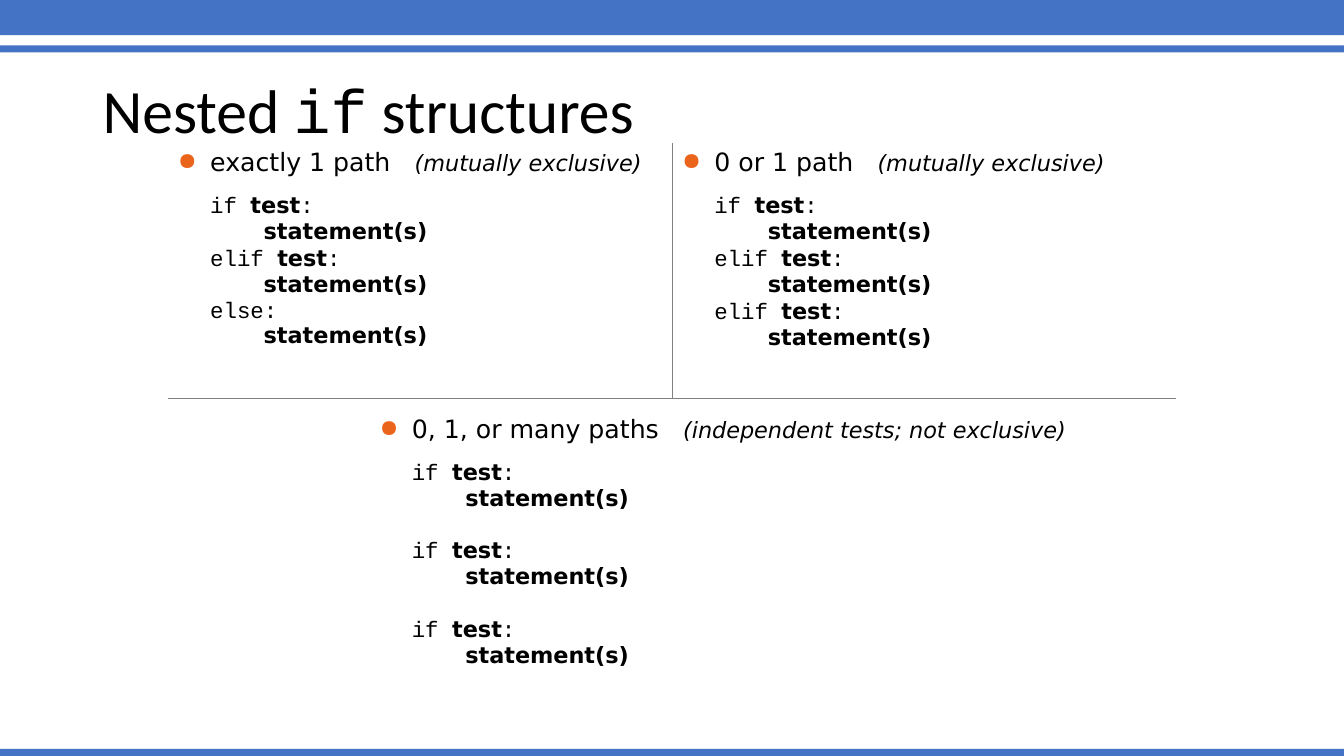
from lxml import etree
from pptx import Presentation
from pptx import util as u
from pptx.dml.color import RGBColor
from pptx.enum import shapes, text
from pptx.oxml.ns import qn

W, H = 13.33, 7.5
BLUE, ORANGE, GREY, BLACK = "4472C4", "EB641B", "808080", "000000"
SANS, MONO, TITLE_FONT = "DejaVu Sans", "Courier New", "Calibri"
NO_STYLE = "{2D5ABB26-0587-4C30-8999-92F81FD0307C}"
BARS = [(-0.03, 0.38), (0.45, 0.07), (7.43, 0.07)]
TITLE = [("Nested ", TITLE_FONT), ("if", MONO), (" structures", TITLE_FONT)]
COLS, ROWS = (5, 5), (2.53, 3.06)
HANG, CODE_TAB, WIDE_LEFT = 0.32, 0.53, 2.32
PANELS = [
    dict(cell=(0, 0), name="exactly 1 path", note="(mutually exclusive)",
         code=["if", "elif", "else"], left=HANG, top=0.05, gap=3.75, sides="RB"),
    dict(cell=(0, 1), name="0 or 1 path", note="(mutually exclusive)",
         code=["if", "elif", "elif"], left=HANG, top=0.05, gap=3.75, sides="LB"),
    dict(cell=(1, 0), name="0, 1, or many paths", note="(independent tests; not exclusive)",
         code=["if", "if", "if"], left=WIDE_LEFT, top=0.17, gap=21.85, sides="T"),
]


def rgb(color):
    """Turn a hex string into a colour."""
    return RGBColor.from_string(color)


def add_run(p, words, size=16, font=SANS, bold=False, italic=False, spacing=0):
    """Append formatted text to a paragraph."""
    r = p.add_run()
    r.text = words
    f = r.font
    f.size, f.name, f.bold, f.italic = u.Pt(size), font, bold, italic
    f.color.rgb = rgb(BLACK)
    if spacing:
        r._r.get_or_add_rPr().set("spc", str(spacing))


def set_indent(p, left, hang=0.0):
    """Set the left margin and hanging indent, and return the properties."""
    props = p._p.get_or_add_pPr()
    props.set("marL", str(u.Inches(left)))
    props.set("indent", str(-u.Inches(hang)))
    return props


def add_bullet(props):
    """Give a paragraph a round orange bullet."""
    color = etree.SubElement(props, qn("a:buClr"))
    etree.SubElement(color, qn("a:srgbClr"), val=ORANGE)
    etree.SubElement(props, qn("a:buSzPct"), val="95000")
    etree.SubElement(props, qn("a:buChar"), char="●")


def add_code_line(tf, left, before):
    """Start a tightly spaced code paragraph."""
    p = tf.add_paragraph()
    p.line_spacing, p.space_before = 0.8, u.Pt(before)
    set_indent(p, left)
    return p


def add_borders(cell, sides):
    """Draw thin grey lines on the named sides and none on the others."""
    props = cell._tc.get_or_add_tcPr()
    for side in "LRTB":
        ln = etree.SubElement(props, qn("a:ln" + side), w=str(u.Pt(0.5)))
        if side in sides:
            fill = etree.SubElement(ln, qn("a:solidFill"))
            etree.SubElement(fill, qn("a:srgbClr"), val=GREY)
        else:
            etree.SubElement(ln, qn("a:noFill"))
    cell.fill.background()


def fill_panel(cell, name, note, code, left, top, gap, sides):
    """Write one heading and its code outline into a cell."""
    cell.margin_top = u.Inches(top)
    tf = cell.text_frame
    p = tf.paragraphs[0]
    add_bullet(set_indent(p, left, HANG))
    add_run(p, name, size=18)
    add_run(p, " ", size=18, spacing=1140)
    add_run(p, note, italic=True)
    for i, keyword in enumerate(code):
        p = add_code_line(tf, left, gap if i else 13)
        if keyword == "else":
            add_run(p, "else:", font=MONO)
        else:
            add_run(p, keyword + " ", font=MONO)
            add_run(p, "test", bold=True)
            add_run(p, ":", font=MONO)
        p = add_code_line(tf, left + CODE_TAB, 3.75)
        add_run(p, "statement(s)", bold=True)
    add_borders(cell, sides)


def main():
    """Build the slide and save it."""
    prs = Presentation()
    prs.slide_width, prs.slide_height = u.Inches(W), u.Inches(H)
    s = prs.slides.add_slide(prs.slide_layouts[6])
    for top, height in BARS:
        sp = s.shapes.add_shape(shapes.MSO_SHAPE.RECTANGLE, 0, u.Inches(top),
                                u.Inches(W), u.Inches(height))
        sp.shadow.inherit = False
        sp.fill.solid()
        sp.fill.fore_color.rgb = rgb(BLUE)
        sp.line.fill.background()

    tf = s.shapes.add_textbox(*map(u.Inches, (0.92, 0.4, 11.5, 1.45))).text_frame
    tf.word_wrap, tf.vertical_anchor = True, text.MSO_ANCHOR.MIDDLE
    p = tf.paragraphs[0]
    p.line_spacing = 0.9
    for words, font in TITLE:
        add_run(p, words, size=44, font=font)

    box = ((W - sum(COLS)) / 2, 1.42, sum(COLS), sum(ROWS))
    table = s.shapes.add_table(len(ROWS), len(COLS), *map(u.Inches, box)).table
    table.first_row = table.horz_banding = False
    table._tbl.tblPr.find(qn("a:tableStyleId")).text = NO_STYLE
    for col, width in zip(table.columns, COLS):
        col.width = u.Inches(width)
    for row, height in zip(table.rows, ROWS):
        row.height = u.Inches(height)
    table.cell(1, 0).merge(table.cell(1, 1))
    for panel in PANELS:
        details = {key: value for key, value in panel.items() if key != "cell"}
        fill_panel(table.cell(*panel["cell"]), **details)
    prs.save("out.pptx")


if __name__ == "__main__":
    main()
